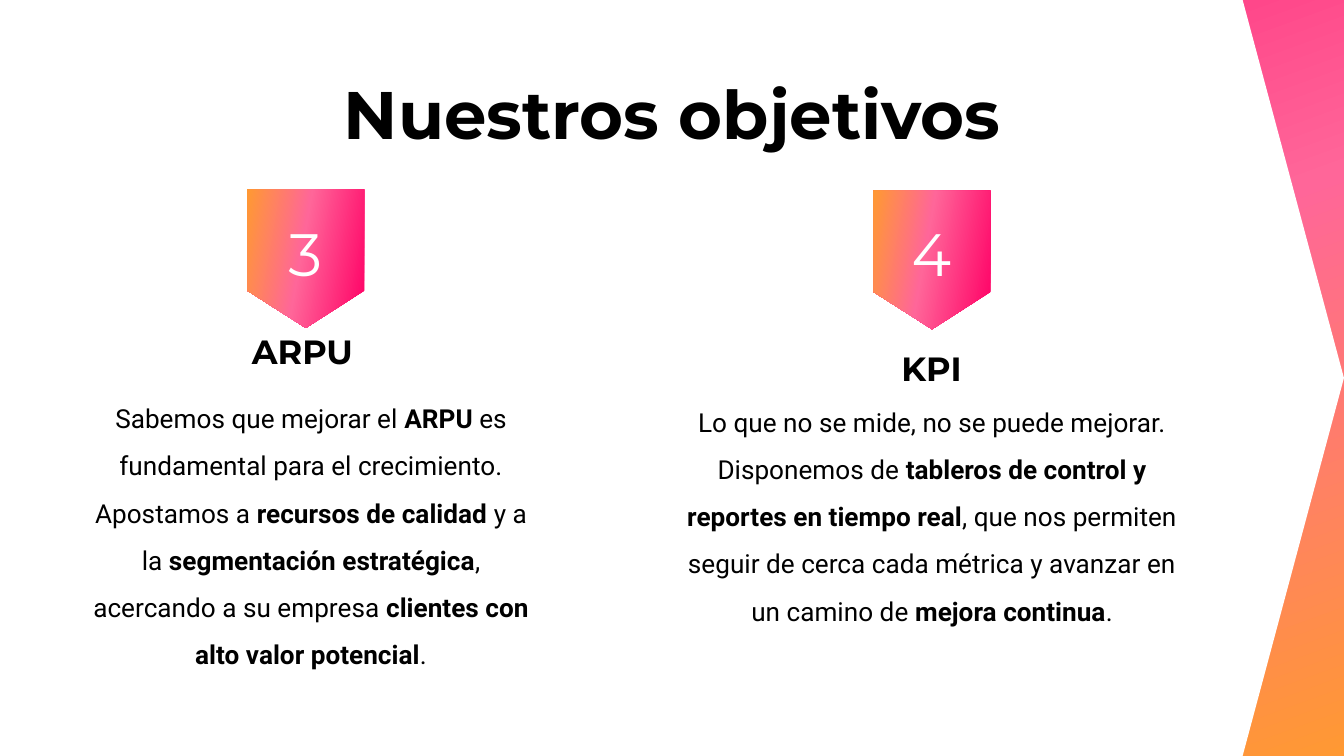
from lxml.etree import SubElement
from pptx import Presentation
from pptx.dml.color import RGBColor
from pptx.enum.shapes import MSO_SHAPE
from pptx.enum.text import MSO_ANCHOR, MSO_AUTO_SIZE, PP_ALIGN
from pptx.oxml.ns import qn
from pptx.util import Pt

WIDTH, HEIGHT = 720, 405

# Each column: badge number, heading and body with their frames in points.
# Body runs alternate between regular and bold.
COLUMNS = [
    {
        "number": "3", "badge": (126.7, 107.3, 74.2, 62.6), "middle": 54,
        "number_frame": (142.6, 114.5, 41.8, 41.8),
        "heading": "ARPU", "heading_frame": (97.2, 167, 129.6, 45.4),
        "body_frame": (37.4, 200.2, 258.5, 173.5),
        "body": ["Sabemos que mejorar el ", "ARPU",
                 " es fundamental para el crecimiento. Apostamos a ",
                 "recursos de calidad", " y a la ", "segmentación estratégica",
                 ", acercando a su empresa ",
                 "clientes con alto valor potencial", "."],
    },
    {
        "number": "4", "badge": (462.2, 108, 74.2, 62.6), "middle": 56,
        "number_frame": (478.1, 114.5, 41.8, 41.8),
        "heading": "KPI", "heading_frame": (434.2, 175.7, 129.6, 45.4),
        "body_frame": (360, 202.3, 278.6, 190.8),
        "body": ["Lo que no se mide, no se puede mejorar. Disponemos de ",
                 "tableros de control y reportes en tiempo real",
                 ", que nos permiten seguir de cerca cada métrica y avanzar"
                 " en un camino de ", "mejora continua", "."],
    },
]


def color(value):
    return RGBColor.from_string(value)


def set_attributes(target, values):
    for name, value in values.items():
        setattr(target, name, value)


class SlideBuilder:
    BLACK, WHITE = "000000", "FFFFFF"
    RED, PINK, ORANGE = "FF0066", "FF6699", "FF9933"
    TITLE_FONT, BODY_FONT = "Montserrat", "Roboto"
    MARGIN = Pt(7.2)

    def __init__(self, slide):
        self.slide = slide

    def place(self, shape, frame):
        names = ("left", "top", "width", "height")
        set_attributes(shape, dict(zip(names, map(Pt, frame))))

    def gradient(self, fill, element, middle, angle):
        fill.gradient()
        fill.gradient_angle = 360 - angle
        stop_list = next(element.iter(qn("a:gsLst")))
        for stop in list(stop_list):
            stop_list.remove(stop)
        for position, value in ((0, self.RED), (middle, self.PINK), (100, self.ORANGE)):
            stop = SubElement(stop_list, qn("a:gs"), pos=str(position * 1000))
            SubElement(stop, qn("a:srgbClr"), val=value)

    def background(self):
        self.gradient(self.slide.background.fill, self.slide.element, 53, 70)

    def pentagon(self, frame, point):
        shape = self.slide.shapes.add_shape(MSO_SHAPE.PENTAGON, *map(Pt, frame))
        shape.adjustments[0] = point
        shape.shadow.inherit = False
        shape.line.fill.background()
        return shape

    def panel(self):
        shape = self.pentagon((0, 0, WIDTH, HEIGHT), 0.134)
        shape.fill.solid()
        shape.fill.fore_color.rgb = color(self.WHITE)
        # Send behind the placeholders
        self.slide.shapes.element.insert(2, shape.element)

    def badge(self, frame, middle):
        shape = self.pentagon(frame, 0.319)
        shape.rotation = 90
        self.gradient(shape.fill, shape.element, middle, 100)

    def text(self, shape, runs, size, font, value=BLACK, bold=False,
             anchor=MSO_ANCHOR.TOP, spacing=1.0):
        text_frame = shape.text_frame
        margins = {f"margin_{side}": self.MARGIN
                   for side in ("left", "top", "right", "bottom")}
        set_attributes(text_frame, {
            "word_wrap": True, "auto_size": MSO_AUTO_SIZE.NONE,
            "vertical_anchor": anchor, **margins})
        paragraph = text_frame.paragraphs[0]
        set_attributes(paragraph, {
            "alignment": PP_ALIGN.CENTER, "line_spacing": spacing,
            "space_before": Pt(0)})
        properties = paragraph._p.get_or_add_pPr()
        properties.set("marL", "0")
        properties.set("indent", "0")
        SubElement(properties, qn("a:buNone"))
        for index, words in enumerate(runs):
            run = paragraph.add_run()
            run.text = words
            set_attributes(run.font, {
                "name": font, "size": Pt(size), "bold": bold or index % 2 == 1})
            run.font.color.rgb = color(value)

    def placeholder(self, index, frame, runs, size, font, **options):
        shape = self.slide.placeholders[index]
        self.place(shape, frame)
        self.text(shape, runs, size, font, **options)

    def number(self, frame, digit):
        box = self.slide.shapes.add_textbox(*map(Pt, frame))
        self.text(box, [digit], 32, self.TITLE_FONT, value=self.WHITE,
                  anchor=MSO_ANCHOR.MIDDLE)


def main():
    presentation = Presentation()
    set_attributes(presentation, {"slide_width": Pt(WIDTH), "slide_height": Pt(HEIGHT)})
    # The comparison layout has a title and two heading and body pairs
    slide = presentation.slides.add_slide(presentation.slide_layouts[4])
    builder = SlideBuilder(slide)

    # Background and title
    builder.background()
    builder.panel()
    builder.placeholder(0, (56.2, 31.7, 607.7, 45.4), ["Nuestros objetivos"],
                        36, builder.TITLE_FONT, bold=True)

    # Objectives
    for index, column in enumerate(COLUMNS):
        builder.badge(column["badge"], column["middle"])
        builder.number(column["number_frame"], column["number"])
        builder.placeholder(2 * index + 1, column["heading_frame"], [column["heading"]],
                            18, builder.TITLE_FONT, bold=True, spacing=1.15)
        builder.placeholder(2 * index + 2, column["body_frame"], column["body"],
                            14, builder.BODY_FONT, spacing=1.5)

    presentation.save("out.pptx")


if __name__ == "__main__":
    main()
